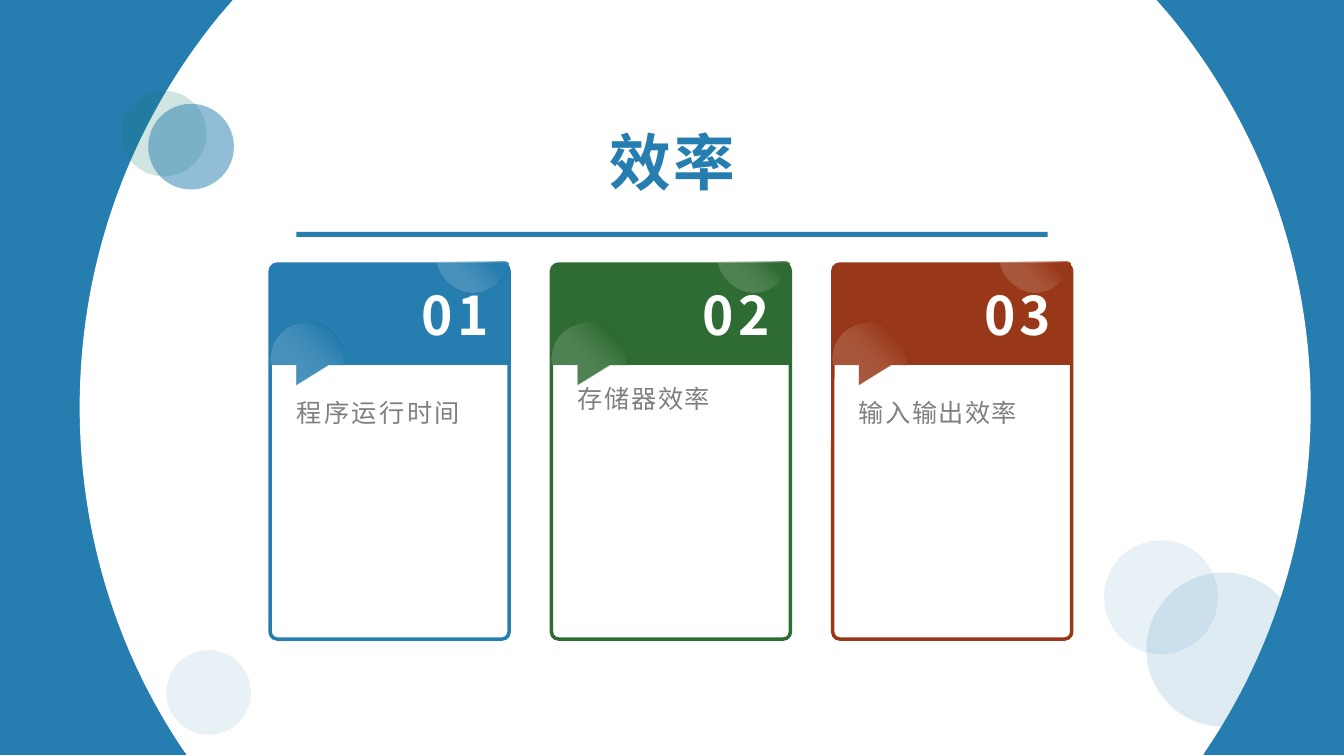
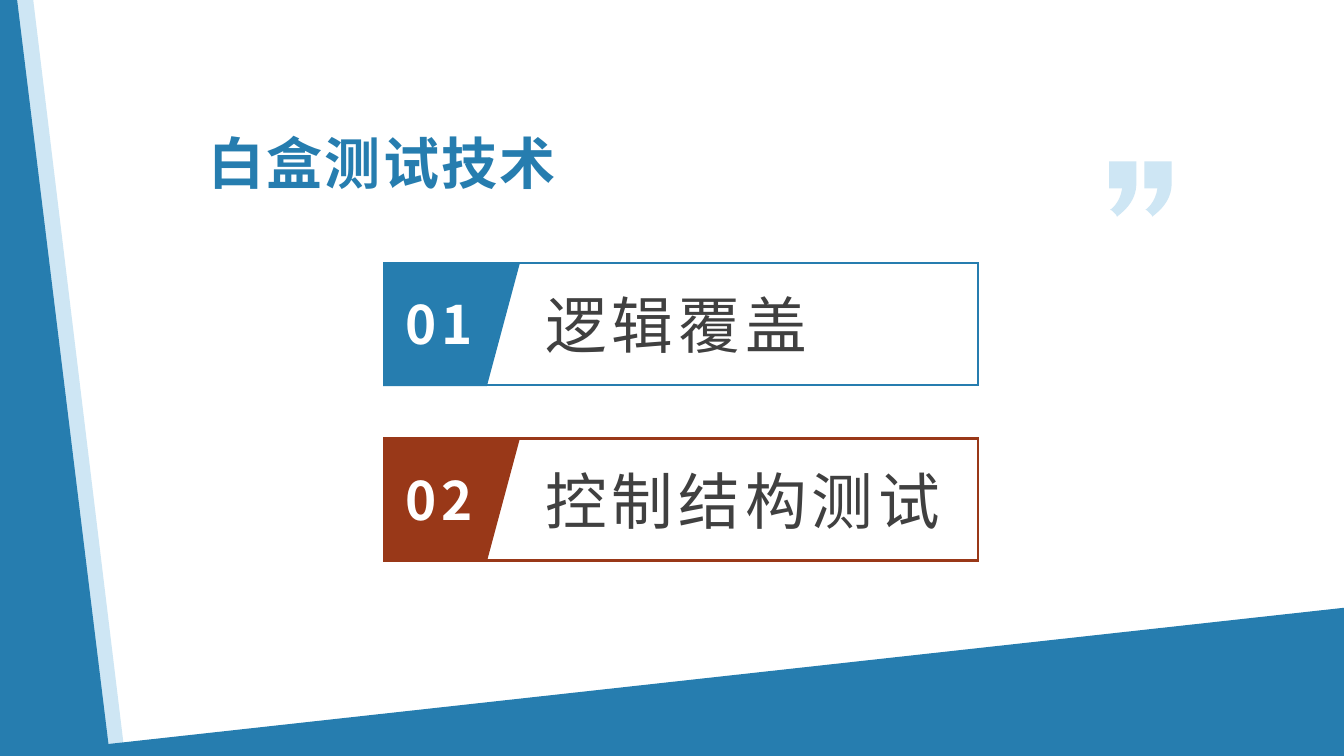
from pptx import Presentation
from pptx.dml.color import RGBColor
from pptx.enum.shapes import MSO_SHAPE
from pptx.enum.text import MSO_ANCHOR, PP_ALIGN
from pptx.oxml import parse_xml
from pptx.oxml.ns import nsdecls, qn
from pptx.util import Pt

RECT, ROUNDED = MSO_SHAPE.RECTANGLE, MSO_SHAPE.ROUNDED_RECTANGLE
OVAL, RIGHT_TRIANGLE = MSO_SHAPE.OVAL, MSO_SHAPE.RIGHT_TRIANGLE
MIDDLE = MSO_ANCHOR.MIDDLE
LEFT, CENTER = PP_ALIGN.LEFT, PP_ALIGN.CENTER

PX = 9144  # EMU per px, 100 px to the inch
WIDTH, HEIGHT = 1333, 750
FONT = "Noto Sans CJK SC"
BLUE, GREEN, RUST, TEAL = "267DAF", "2F6C33", "993818", "167A70"
PALE, WHITE, GREY, DARK = "CEE6F4", "FFFFFF", "808080", "404040"
TITLE = dict(color=BLUE, bold=True, spacing=1.6, insets=(7, 3))


def draw(slide, geometry, fill=None, kind=None, alpha=100, line=None, dx=0, dy=0):
    """Draw a preset in a box, or an outline of points (x, y) and cubic curves (6 numbers)."""
    if kind is not None:
        x, y, w, h = geometry
        shape = slide.shapes.add_shape(kind, (x + dx) * PX, (y + dy) * PX, w * PX, h * PX)
    else:
        corners = [((step[-2] + dx) * PX, (step[-1] + dy) * PX) for step in geometry]
        builder = slide.shapes.build_freeform(*corners[0], scale=1.0)
        builder.add_line_segments(corners[1:], close=False)
        shape = builder.convert_to_shape()
        outline = shape._element.spPr.find(".//" + qn("a:path"))
        for segment, step in zip(list(outline)[1:], geometry[1:]):
            if len(step) == 6:
                points = "".join(
                    f'<a:pt x="{(x + dx) * PX - shape.left}" y="{(y + dy) * PX - shape.top}"/>'
                    for x, y in zip(step[::2], step[1::2]))
                outline.replace(segment, parse_xml(
                    f'<a:cubicBezTo {nsdecls("a")}>{points}</a:cubicBezTo>'))
        outline.append(parse_xml(f'<a:close {nsdecls("a")}/>'))
    shape.shadow.inherit = False
    if fill:
        shape.fill.solid()
        shape.fill.fore_color.rgb = RGBColor.from_string(fill)
        if alpha < 100:
            color = shape._element.spPr.find(qn("a:solidFill"))[0]
            color.append(parse_xml(f'<a:alpha {nsdecls("a")} val="{alpha * 1000}"/>'))
    else:
        shape.fill.background()
    if line:
        shape.line.color.rgb = RGBColor.from_string(line[0])
        shape.line.width = Pt(line[1])
        shape._element.spPr.find(qn("a:ln")).append(
            parse_xml(f'<a:miter {nsdecls("a")} lim="800000"/>'))
    else:
        shape.line.fill.background()
    return shape


def write(slide, box, text, size, color, bold=False, spacing=0, align=LEFT,
          insets=(10, 5), line_spacing=None):
    frame = slide.shapes.add_textbox(*(n * PX for n in box)).text_frame
    frame.word_wrap = True
    frame.vertical_anchor = MIDDLE
    frame.margin_left = frame.margin_right = insets[0] * PX
    frame.margin_top = frame.margin_bottom = insets[1] * PX
    paragraph = frame.paragraphs[0]
    paragraph.alignment = align
    if line_spacing:
        paragraph.line_spacing = line_spacing
    run = paragraph.add_run()
    run.text = text
    run.font.size, run.font.bold, run.font.name = Pt(size), bold, FONT
    run.font.color.rgb = RGBColor.from_string(color)
    properties = run._r.get_or_add_rPr()
    properties.set("spc", str(round(spacing * 100)))
    properties.append(parse_xml(f'<a:ea {nsdecls("a")} typeface="{FONT}"/>'))


prs = Presentation()
prs.slide_width, prs.slide_height = WIDTH * PX, HEIGHT * PX
blank = prs.slide_layouts[6]

# Slide 1: efficiency
efficiency = prs.slides.add_slide(blank)

# Backdrop with white disc
draw(efficiency, (0, -1, WIDTH, HEIGHT), BLUE, RECT)
disc = [(231, 0), (1147, 0), (1160, 15), (1247, 121, 1300, 256, 1300, 404),
        (1300, 531, 1261, 649, 1195, 746), (1193, 750), (186, 750), (183, 746),
        (117, 649, 79, 531, 79, 404), (79, 256, 131, 121, 218, 15)]
draw(efficiency, disc, WHITE)

# Bubbles
for x, y, diameter, color, alpha in [
        (120, 90, 85, TEAL, 20), (147, 103, 85, BLUE, 50), (165, 645, 84, BLUE, 10),
        (1137, 568, 153, BLUE, 15), (1095, 536, 113, BLUE, 10)]:
    draw(efficiency, (x, y, diameter, diameter), color, OVAL, alpha)

# Title and rule
draw(efficiency, (294, 230, 745, 5), BLUE, RECT)
write(efficiency, (167, 117, 1000, 85), "效率", 44, align=CENTER, **TITLE)

# Cards, outlined for the first one and shifted for the others
CARD_LEFT, CARD_TOP, CARD_PITCH = 268, 262, 279
header = [(275, 262), (499, 262), (502, 262, 505, 264, 505, 268), (505, 362), (326, 362),
          (294, 382), (294, 362), (268, 362), (268, 268), (268, 264, 271, 262, 275, 262)]
top_glow = [(433, 260), (499, 260), (501, 260, 503, 261, 504, 262), (504, 263), (503, 267),
            (497, 280, 484, 290, 469, 290), (454, 290, 441, 280, 435, 267)]
pointer_glow = [(305, 320), (325, 320, 341, 336, 341, 356), (341, 362), (326, 362),
                (294, 382), (294, 362), (269, 362), (268, 356), (269, 349),
                (272, 332, 287, 320, 305, 320)]
cards = [("程序运行时间", BLUE, 1.8, 386), ("存储器效率", GREEN, 1.2, 372),
         ("输入输出效率", RUST, 1, 386)]
for i, (label, color, spacing, label_top) in enumerate(cards):
    shift = i * CARD_PITCH
    frame = draw(efficiency, (CARD_LEFT, CARD_TOP, 237, 372), kind=ROUNDED,
                 line=(color, 2.5), dx=shift)
    frame.adjustments[0] = 0.03
    draw(efficiency, header, color, dx=shift)
    for glow in (top_glow, pointer_glow):
        properties = draw(efficiency, glow, dx=shift)._element.spPr
        properties.replace(properties.find(qn("a:noFill")), parse_xml(
            f'<a:gradFill {nsdecls("a")}><a:gsLst>'
            f'<a:gs pos="0"><a:srgbClr val="{color}"/></a:gs>'
            f'<a:gs pos="20000"><a:srgbClr val="{color}"><a:alpha val="50000"/></a:srgbClr></a:gs>'
            f'<a:gs pos="96000"><a:srgbClr val="{WHITE}"><a:alpha val="10000"/></a:srgbClr></a:gs>'
            '</a:gsLst><a:lin ang="8100000" scaled="0"/></a:gradFill>'))
    write(efficiency, (284 + shift, label_top, 192, 50), label, 18, GREY,
          spacing=spacing, line_spacing=0.9)
    write(efficiency, (398 + shift, CARD_TOP, 107, 100), f"{i + 1:02}", 38, WHITE,
          bold=True, spacing=3, align=CENTER)

# Slide 2: white-box testing
testing = prs.slides.add_slide(blank)

# Corner and slanted bands
draw(testing, [(1211, 750), (1333, 750), (1333, 644)], GREEN)
draw(testing, [(16, 0), (33, 0), (124, 750), (16, 750)], PALE)
slope = draw(testing, (0, 603, WIDTH, 147), BLUE, RIGHT_TRIANGLE)
slope._element.spPr.find(qn("a:xfrm")).set("flipH", "1")

# Closing quotation mark
comma = [(1108, 215), (1107, 213), (1106, 212, 1104, 210, 1103, 209), (1101, 208),
         (1102, 208, 1111, 201, 1113, 187), (1100, 187), (1100, 160), (1127, 160),
         (1127, 184), (1126, 204, 1108, 214, 1108, 215)]
for shift in (35, 0):
    draw(testing, comma, PALE, dx=shift)
draw(testing, [(0, 0), (17, 0), (109, 750), (0, 750)], BLUE)

# Title
write(testing, (200, 122, 867, 78), "白盒测试技术", 40, **TITLE)

# Numbered techniques
ROW_PITCH = 174
number_tag = [(380, 260), (516, 260), (483, 383), (380, 383)]
for i, (technique, color) in enumerate([("逻辑覆盖", BLUE), ("控制结构测试", RUST)]):
    shift = i * ROW_PITCH
    draw(testing, (381, 261, 589, 121), kind=RECT, line=(color, 2), dy=shift)
    draw(testing, number_tag, color, dy=shift)
    write(testing, (531, 277 + shift, 423, 89), technique, 44, DARK, spacing=3.6)
    write(testing, (385, 285 + shift, 101, 72), f"{i + 1:02}", 37.8, WHITE,
          bold=True, spacing=3.4, align=CENTER, insets=(0, 0))

prs.save("out.pptx")
